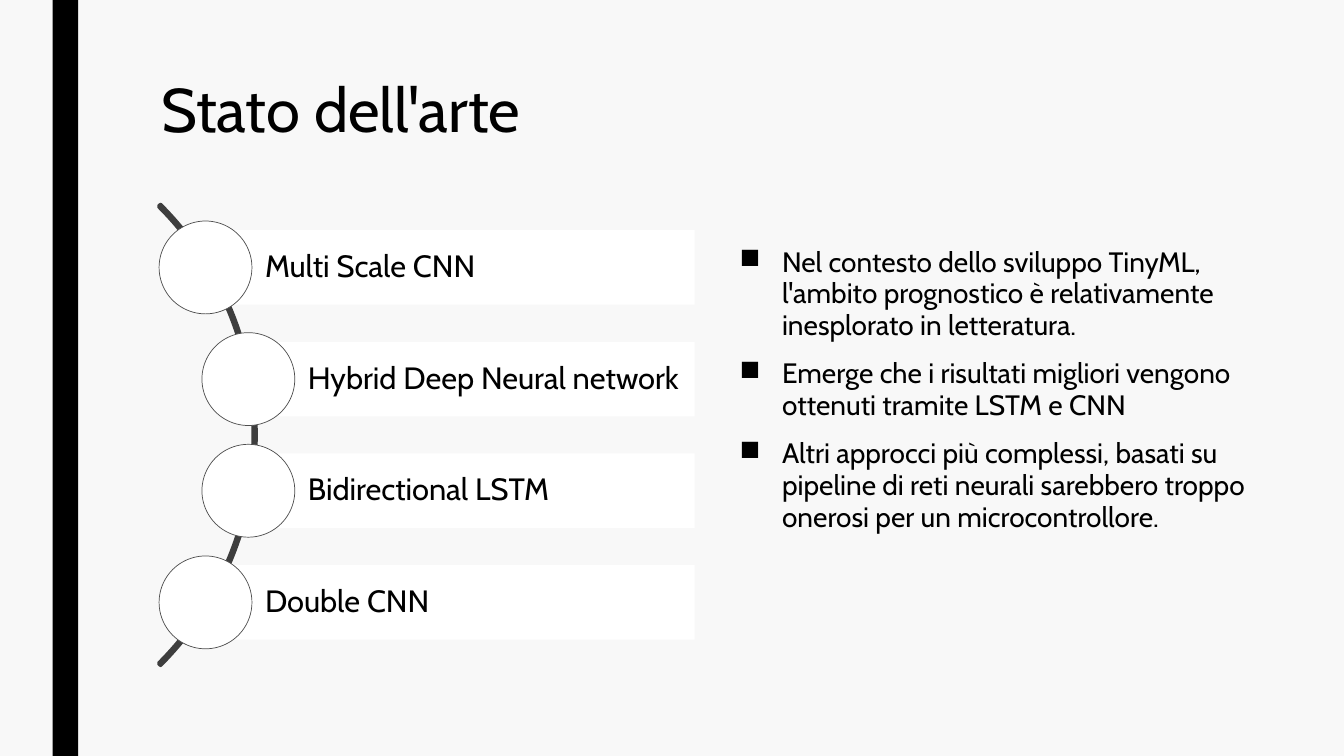
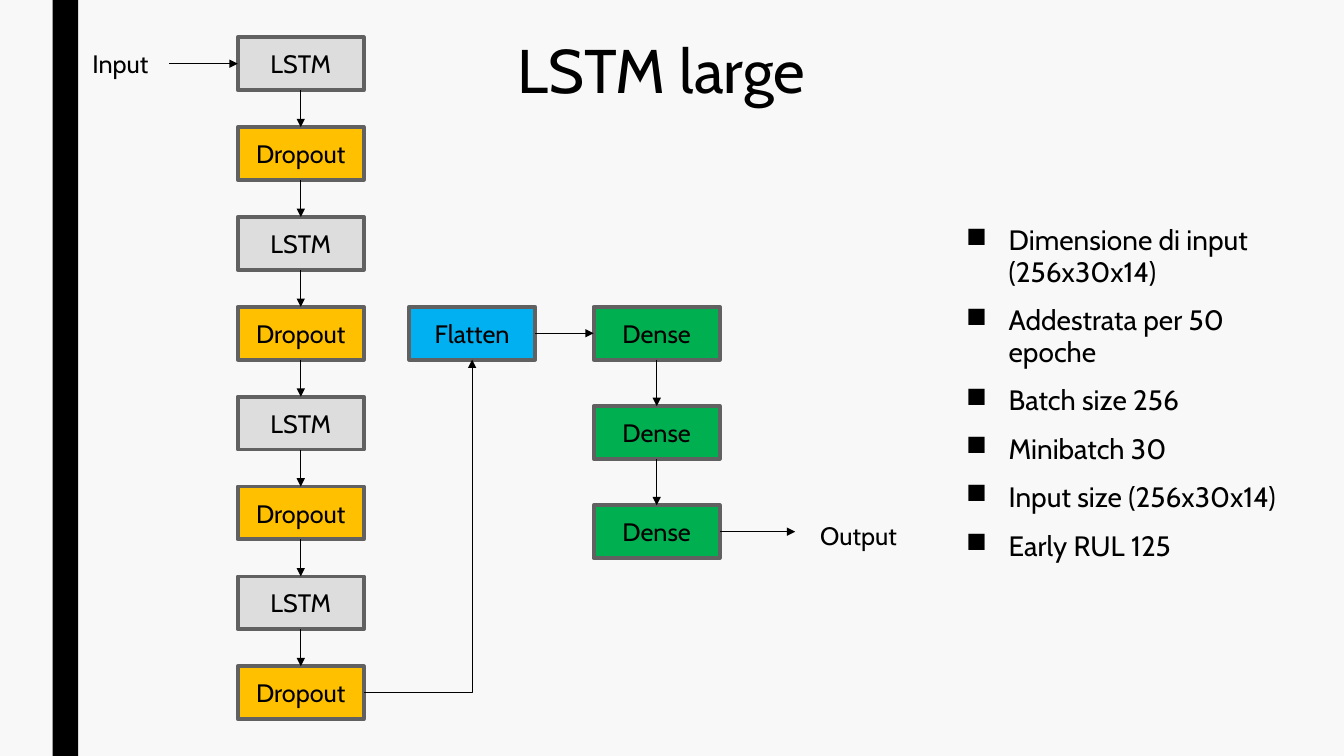
from itertools import pairwise
from lxml.etree import SubElement
from pptx import Presentation
from pptx.dml.color import RGBColor
from pptx.enum.shapes import MSO_CONNECTOR, MSO_SHAPE
from pptx.enum.text import MSO_ANCHOR, PP_ALIGN
from pptx.oxml.ns import qn
from pptx.util import Cm, Pt

FONT = "Cabin"
PAPER = RGBColor(0xF8, 0xF8, 0xF8)
BLACK = RGBColor(0, 0, 0)
WHITE = RGBColor(0xFF, 0xFF, 0xFF)
CURVE = RGBColor(0x3E, 0x3E, 0x3E)
RING = RGBColor(0x4D, 0x4D, 0x4D)
FRAME = RGBColor(0x61, 0x61, 0x61)
GREY = RGBColor(0xDD, 0xDD, 0xDD)
AMBER = RGBColor(0xFF, 0xC0, 0x00)
BLUE = RGBColor(0x00, 0xB0, 0xF0)
GREEN = RGBColor(0x00, 0xB0, 0x50)

TOP, LEFT, BOTTOM, RIGHT = range(4)
TALL = 19.05
NODE_W, NODE_H = 3.18, 1.33


def style(para, size, align=PP_ALIGN.LEFT, space=None):
    para.alignment = align
    para.line_spacing = space
    para.font.size = Pt(size)
    para.font.name = FONT
    para.font.color.rgb = BLACK


def add_form(slide, kind, box, fill=None, line=None, width=0):
    form = slide.shapes.add_shape(kind, *map(Cm, box))
    form.shadow.inherit = False
    if fill is None:
        form.fill.background()
    else:
        form.fill.solid()
        form.fill.fore_color.rgb = fill
    if line is None:
        form.line.fill.background()
    else:
        form.line.color.rgb = line
        form.line.width = Pt(width)
    return form


def add_text(slide, box, text, size, space=None):
    frame = slide.shapes.add_textbox(*map(Cm, box)).text_frame
    frame.word_wrap = True
    frame.text = text
    for para in frame.paragraphs:
        style(para, size, space=space)
    return frame


def add_list(slide, box, items):
    frame = add_text(slide, box, "\n".join(items), 20, 0.94)
    for para in frame.paragraphs:
        para.space_before = Pt(10)
        para.space_after = Pt(2)
        props = para._p.get_or_add_pPr()
        props.set("marL", str(Cm(1.07)))
        props.set("indent", str(Cm(-1.07)))
        mark = SubElement(props, qn("a:buChar"))
        mark.set("char", "■")
        props.find(qn("a:defRPr")).addprevious(mark)


def add_base(deck, title, box):
    slide = deck.slides.add_slide(deck.slide_layouts[6])
    add_form(slide, MSO_SHAPE.RECTANGLE, (1.33, 0, 0.64, TALL), BLACK)
    add_text(slide, box, title, 44, 0.89)
    return slide


def add_curve(slide, box, items):
    left, top, width, height = box
    dot, bar, arc = 2.34, 1.88, 16.41
    step = (height - dot) / (len(items) - 1)
    curve = add_form(slide, MSO_SHAPE.BLOCK_ARC,
                     (left - 13.97, top + (height - arc) / 2, arc, arc),
                     line=CURVE, width=2.75)
    for index, value in enumerate((189, 27, 0.004)):
        curve.adjustments[index] = value
    for row, (text, shift) in enumerate(items):
        x, y = left + shift, top + row * step
        label = add_form(slide, MSO_SHAPE.RECTANGLE,
                         (x + dot / 2, y + (dot - bar) / 2,
                          width - shift - dot / 2, bar), WHITE)
        frame = label.text_frame
        frame.text = text
        frame.vertical_anchor = MSO_ANCHOR.MIDDLE
        frame.margin_left = Cm(1.5)
        frame.margin_right = Cm(0.15)
        style(frame.paragraphs[0], 22, space=0.9)
        add_form(slide, MSO_SHAPE.OVAL, (x, y, dot, dot), WHITE, RING, 0.5)


def add_node(slide, x, y, text, fill):
    node = add_form(slide, MSO_SHAPE.RECTANGLE, (x, y, NODE_W, NODE_H),
                    fill, FRAME, 2.75)
    frame = node.text_frame
    frame.text = text
    frame.vertical_anchor = MSO_ANCHOR.MIDDLE
    style(frame.paragraphs[0], 18, PP_ALIGN.CENTER)
    return node


def add_stack(slide, x, y, step, items):
    nodes = [add_node(slide, x, y + row * step, *item)
             for row, item in enumerate(items)]
    for upper, lower in pairwise(nodes):
        add_arrow(slide, (upper, BOTTOM), (lower, TOP))
    return nodes


def add_arrow(slide, start=None, end=None, points=(0, 0, 0, 0), bent=False):
    kind = MSO_CONNECTOR.ELBOW if bent else MSO_CONNECTOR.STRAIGHT
    arrow = slide.shapes.add_connector(kind, *map(Cm, points))
    if start:
        arrow.begin_connect(*start)
    if end:
        arrow.end_connect(*end)
    arrow.line.color.rgb = BLACK
    arrow.line.width = Pt(0.5)
    props = arrow._element.spPr
    if bent:
        props.find(qn("a:prstGeom")).set("prst", "bentConnector2")
    SubElement(props.find(qn("a:ln")), qn("a:tailEnd")).set("type", "triangle")
    SubElement(props, qn("a:effectLst"))


def add_flow(slide, box):
    left, top, width, height = box
    step = (height - NODE_H) / 7
    main = left + 3.91
    level = top + 3 * step
    dense = main + 8.97
    layers = [("LSTM", GREY), ("Dropout", AMBER)] * 4
    stack = add_stack(slide, main, top, step, layers)
    flat = add_node(slide, main + 4.32, level, "Flatten", BLUE)
    heads = add_stack(slide, dense, level, 2.5, [("Dense", GREEN)] * 3)
    add_arrow(slide, (stack[-1], RIGHT), (flat, BOTTOM), bent=True)
    add_arrow(slide, (flat, RIGHT), (heads[0], LEFT))
    first = top + NODE_H / 2
    last = level + 5 + NODE_H / 2
    add_arrow(slide, None, (stack[0], LEFT),
              (left + 2.19, first, main, first))
    add_arrow(slide, (heads[-1], RIGHT), None,
              (dense + NODE_W, last, dense + 5.08, last))
    add_text(slide, (left, first - 0.52, 2.64, 1.03), "Input", 18)
    add_text(slide, (left + width - 2.77, last - 0.4, 2.77, 1.03),
             "Output", 18)


def add_state(deck):
    slide = add_base(deck, "Stato dell'arte", (3.81, 1.9, 26.67, 4.11))
    add_list(slide, (18.39, 6.1, 14.35, 9.83), [
        "Nel contesto dello sviluppo TinyML, l'ambito prognostico è "
        "relativamente inesplorato in letteratura.",
        "Emerge che i risultati migliori vengono ottenuti tramite LSTM e CNN",
        "Altri approcci più complessi, basati su pipeline di reti neurali "
        "sarebbero troppo onerosi per un microcontrollore.",
    ])
    add_curve(slide, (4.01, 5.57, 13.5, 10.78), [
        ("Multi Scale CNN", 0),
        ("Hybrid Deep Neural network", 1.08),
        ("Bidirectional LSTM", 1.08),
        ("Double CNN", 0),
    ])


def add_model(deck):
    slide = add_base(deck, "LSTM large", (12.8, 0.91, 19.74, 4.11))
    add_flow(slide, (2.08, 0.94, 21.11, 17.18))
    add_list(slide, (24.1, 5.56, 9.04, 11.2), [
        "Dimensione di input (256x30x14)",
        "Addestrata per 50 epoche",
        "Batch size 256",
        "Minibatch 30",
        "Input size (256x30x14)",
        "Early RUL 125",
    ])


deck = Presentation()
deck.slide_width, deck.slide_height = Cm(33.87), Cm(TALL)
paper = deck.slide_master.background.fill
paper.solid()
paper.fore_color.rgb = PAPER
add_state(deck)
add_model(deck)
deck.save("out.pptx")
